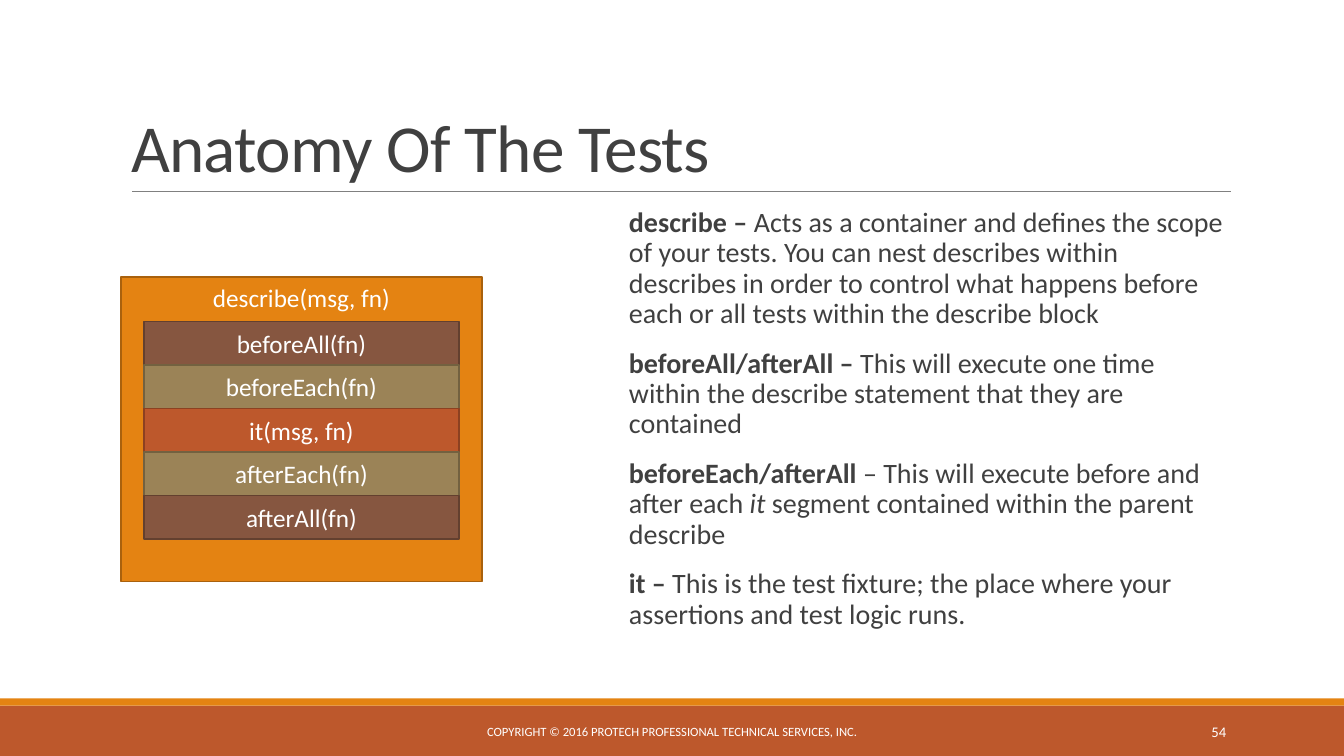
from lxml import etree
from pptx import Presentation
from pptx.dml.color import RGBColor
from pptx.enum.shapes import MSO_CONNECTOR, MSO_SHAPE
from pptx.enum.text import MSO_ANCHOR, MSO_AUTO_SIZE, PP_ALIGN
from pptx.oxml.ns import qn
from pptx.util import Inches, Pt

RECTANGLE = MSO_SHAPE.RECTANGLE
STRAIGHT = MSO_CONNECTOR.STRAIGHT
TOP, MIDDLE, BOTTOM = MSO_ANCHOR.TOP, MSO_ANCHOR.MIDDLE, MSO_ANCHOR.BOTTOM
LEFT, CENTER, RIGHT = PP_ALIGN.LEFT, PP_ALIGN.CENTER, PP_ALIGN.RIGHT
NO_AUTOFIT = MSO_AUTO_SIZE.NONE

PAGE_WIDTH, PAGE_HEIGHT = 13.33, 7.5
FONT = "Calibri"
COLORS = {
    "text": "404040", "white": "FFFFFF", "rule": "808080",
    "orange": "E48312", "orange_edge": "A9610D",
    "brown": "865640", "brown_edge": "63402F",
    "olive": "9B8357", "olive_edge": "736140",
    "rust": "BD582C", "rust_edge": "8C4121",
}
HOOKS = [
    ("beforeAll(fn)", "brown"),
    ("beforeEach(fn)", "olive"),
    ("it(msg, fn)", "rust"),
    ("afterEach(fn)", "olive"),
    ("afterAll(fn)", "brown"),
]
DEFINITIONS = [
    [("describe – ", "bold"),
     ("Acts as a container and defines the scope of your tests. You can nest "
      "describes within describes in order to control what happens before each "
      "or all tests within the describe block", "")],
    [("beforeAll/afterAll – ", "bold"),
     ("This will execute one time within the describe statement that they are "
      "contained", "")],
    [("beforeEach/afterAll ", "bold"),
     ("– This will execute before and after each ", ""),
     ("it ", "italic"),
     ("segment contained within the parent describe", "")],
    [("it – ", "bold"),
     ("This is the test fixture; the place where your assertions and test logic "
      "runs.", "")],
]


def color(name):
    return RGBColor.from_string(COLORS[name])


def inches(box):
    return [Inches(length) for length in box]


def style_font(para, size, name):
    para.font.name = FONT
    para.font.size = Pt(size)
    para.font.color.rgb = color(name)


def write_line(frame, text, size, name, align, anchor):
    frame.word_wrap = True
    frame.vertical_anchor = anchor
    para = frame.paragraphs[0]
    para.alignment = align
    span = para.add_run()
    span.text = text
    style_font(para, size, name)
    return para, span


def add_block(page, box, fill, edge=None):
    block = page.shapes.add_shape(RECTANGLE, *inches(box))
    block.shadow.inherit = False
    block.fill.solid()
    block.fill.fore_color.rgb = color(fill)
    if edge:
        block.line.color.rgb = color(edge)
        block.line.width = Pt(1.25)
    else:
        block.line.fill.background()
    return block


def add_heading(page, box):
    left, top, width, height = box
    title = page.shapes.title
    title.left, title.top, title.width, title.height = inches(box)
    frame = title.text_frame
    frame.auto_size = NO_AUTOFIT
    para, span = write_line(frame, "Anatomy Of The Tests", 48, "text", LEFT, BOTTOM)
    para.line_spacing = 0.85
    span._r.get_or_add_rPr().set("spc", "-50")

    base = top + height
    rule = page.shapes.add_connector(
        STRAIGHT, *inches((left + 0.11, base, left + width + 0.01, base)))
    rule.line.color.rgb = color("rule")
    rule.line.width = Pt(0.5)
    etree.SubElement(rule._element.spPr, qn("a:effectLst"))


def add_test_diagram(page, box):
    left, top, width, height = box
    row = height / 7
    inset = 0.23
    container = add_block(page, box, "orange", "orange_edge")
    write_line(container.text_frame, "describe(msg, fn)", 18, "white", CENTER, TOP)
    for index, (label, tone) in enumerate(HOOKS):
        hook_box = (left + inset, top + 0.44 + index * row, width - 2 * inset, row)
        hook = add_block(page, hook_box, tone, tone + "_edge")
        write_line(hook.text_frame, label, 18, "white", CENTER, MIDDLE)


def add_definitions(page, box):
    frame = page.shapes.add_textbox(*inches(box)).text_frame
    frame.word_wrap = True
    frame.margin_left, frame.margin_right = Inches(0.1), 0
    for index, parts in enumerate(DEFINITIONS):
        para = frame.add_paragraph() if index else frame.paragraphs[0]
        para.line_spacing = 0.9
        para.space_after = Pt(2)
        if index:
            para.space_before = Pt(12)
        for text, emphasis in parts:
            span = para.add_run()
            span.text = text
            span.font.bold = emphasis == "bold"
            span.font.italic = emphasis == "italic"
        style_font(para, 20, "text")


def add_footer(page, box):
    left, top, width, height = box
    stripe = 0.07
    add_block(page, (left, top + stripe, width, height - stripe), "rust")
    add_block(page, (left, top, width, stripe), "orange")
    notes = [
        ("COPYRIGHT © 2016 PROTECH PROFESSIONAL TECHNICAL SERVICES, INC.",
         4.03, 5.27, 9, CENTER),
        ("54", 10.83, 1.43, 10.5, RIGHT),
    ]
    for text, offset, span_width, size, align in notes:
        note = page.shapes.add_textbox(
            *inches((left + offset, top + 0.13, span_width, 0.4)))
        write_line(note.text_frame, text, size, "white", align, MIDDLE)


def main():
    deck = Presentation()
    deck.slide_width, deck.slide_height = inches((PAGE_WIDTH, PAGE_HEIGHT))
    page = deck.slides.add_slide(deck.slide_layouts[5])
    add_footer(page, (0, 6.93, PAGE_WIDTH, PAGE_HEIGHT - 6.93))
    add_heading(page, (1.2, 0.31, 11, 1.59))
    add_definitions(page, (6.14, 2.02, 6.06, 4.4))
    add_test_diagram(page, (1.2, 2.75, 3.58, 3.02))
    deck.save("out.pptx")


if __name__ == "__main__":
    main()
